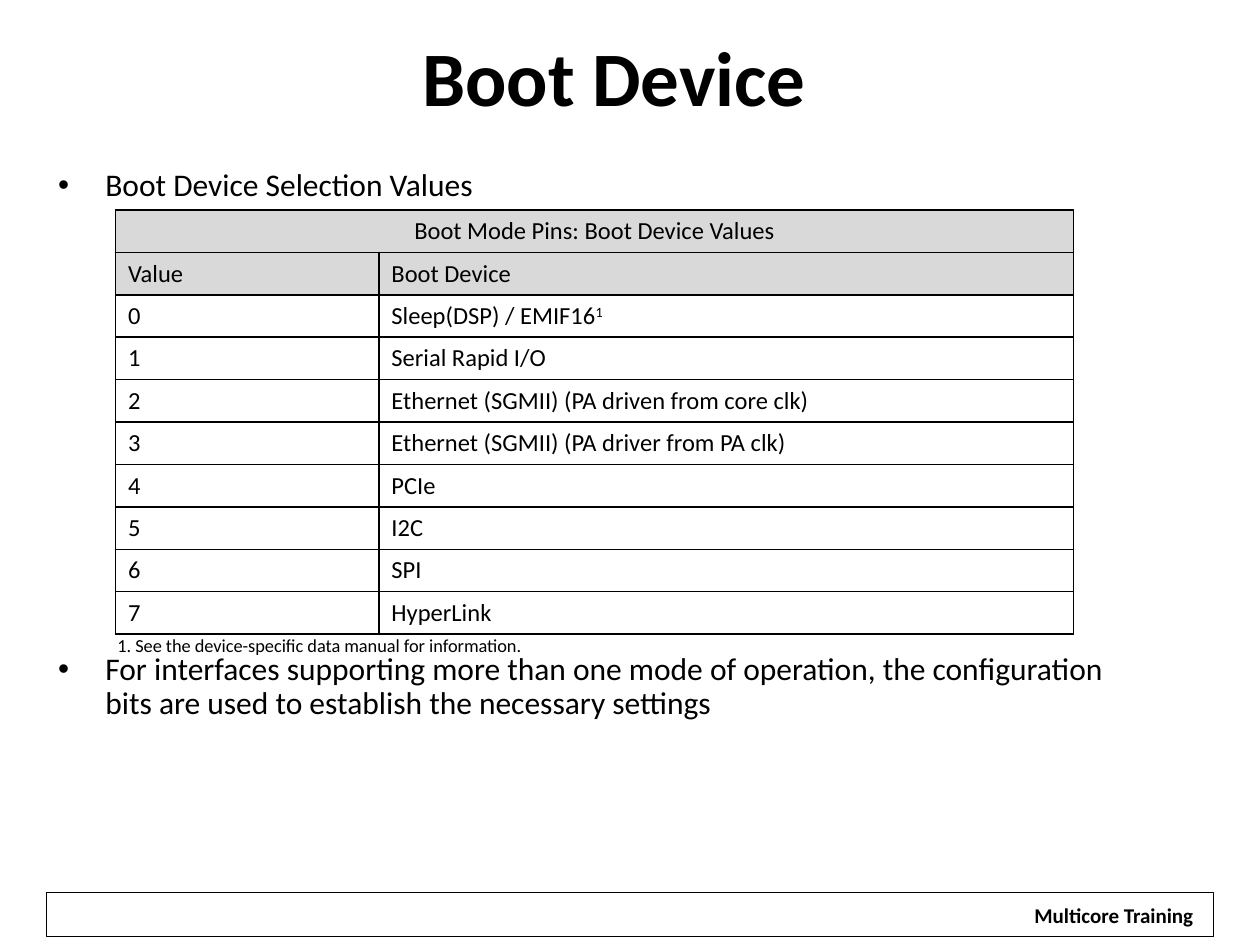
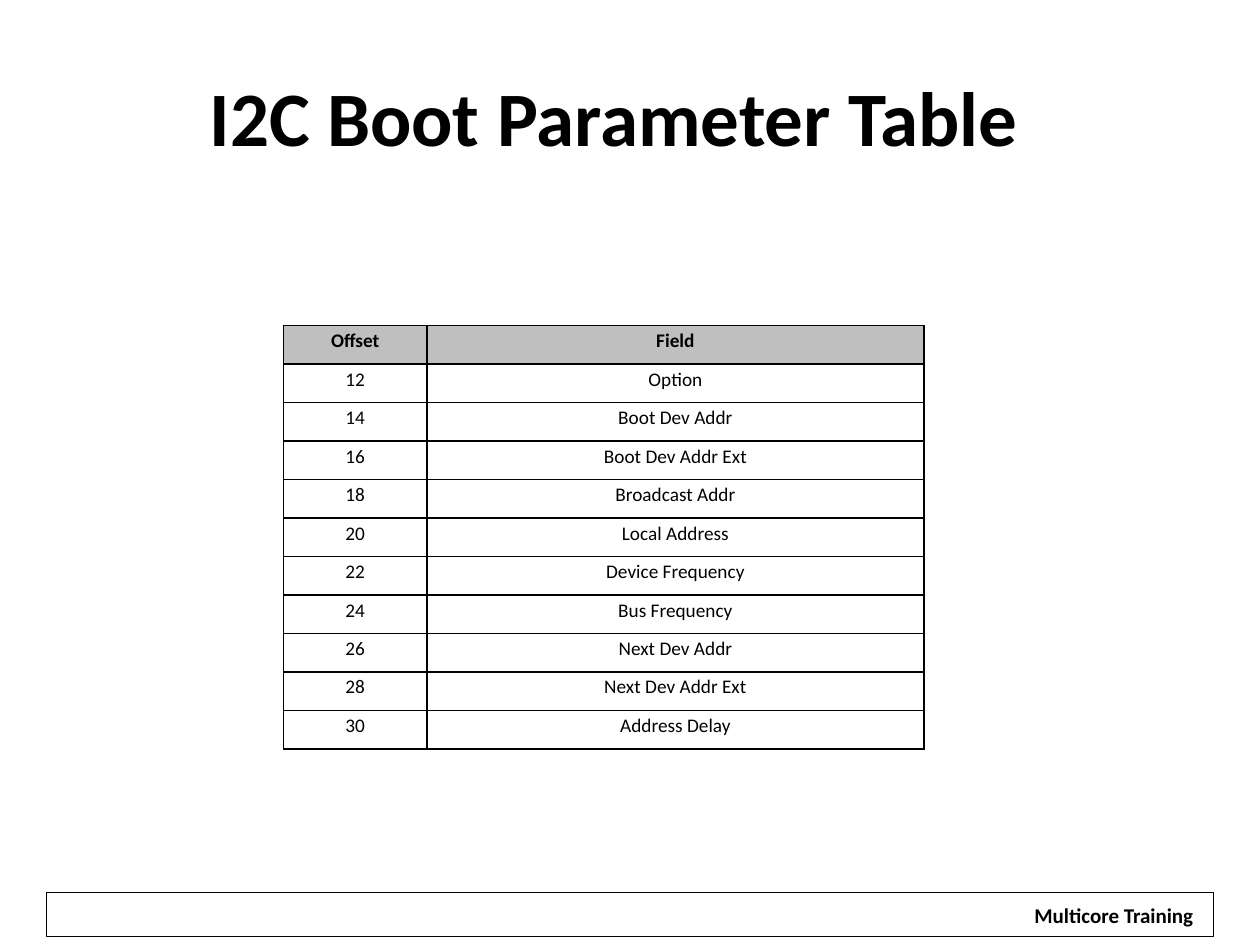
from dataclasses import dataclass

import pptx
import pptx.dml.color
import pptx.enum.shapes
import pptx.enum.text
import pptx.oxml
import pptx.oxml.ns
import pptx.util

Pt = pptx.util.Pt
Align = pptx.enum.text.PP_ALIGN
Anchor = pptx.enum.text.MSO_ANCHOR


@dataclass(frozen=True)
class Theme:
    font: str = "Calibri"
    ink: str = "000000"
    paper: str = "FFFFFF"
    light_header: str = "D9D9D9"
    dark_header: str = "BFBFBF"
    title_size: float = 44
    body_size: float = 18
    device_size: float = 14
    footer_size: float = 12
    parameter_size: float = 11
    note_size: float = 10.5


THEME = Theme()

BOOT_DEVICES = [
    ("Boot Mode Pins: Boot Device Values", ""),
    ("Value", "Boot Device"),
    ("0", "Sleep(DSP) / EMIF16"),
    ("1", "Serial Rapid I/O"),
    ("2", "Ethernet (SGMII) (PA driven from core clk)"),
    ("3", "Ethernet (SGMII) (PA driver from PA clk)"),
    ("4", "PCIe"),
    ("5", "I2C"),
    ("6", "SPI"),
    ("7", "HyperLink"),
]

PARAMETER_FIELDS = [
    "Option", "Boot Dev Addr", "Boot Dev Addr Ext", "Broadcast Addr",
    "Local Address", "Device Frequency", "Bus Frequency", "Next Dev Addr",
    "Next Dev Addr Ext", "Address Delay",
]


def color(value):
    return pptx.dml.color.RGBColor.from_string(value)


def format_paragraph(paragraph, size, bold=False, align=Align.LEFT, spacing=1.0):
    paragraph.alignment = align
    paragraph.line_spacing = spacing
    for run in paragraph.runs:
        run.font.name = THEME.font
        run.font.size = Pt(size)
        run.font.bold = bold
        run.font.color.rgb = color(THEME.ink)


def place(shape, left, top, width, height):
    shape.left, shape.top = Pt(left), Pt(top)
    shape.width, shape.height = Pt(width), Pt(height)


def add_title(slide, text, height):
    title = slide.shapes.title
    place(title, 18, 11.5, 666, height)
    title.text_frame.text = text
    title.text_frame.vertical_anchor = Anchor.MIDDLE
    format_paragraph(title.text_frame.paragraphs[0], THEME.title_size, True, Align.CENTER)


def add_bullets(slide, items, gap):
    body = slide.placeholders[1]
    place(body, 26, 93.2, 629, 330)
    frame = body.text_frame
    frame.text = "\n".join(items)
    frame.auto_size = pptx.enum.text.MSO_AUTO_SIZE.NONE
    for index, paragraph in enumerate(frame.paragraphs):
        properties = paragraph._p.get_or_add_pPr()
        properties.set("marL", str(Pt(27)))
        properties.set("indent", str(Pt(-27)))
        format_paragraph(paragraph, THEME.body_size, spacing=0.9)
        paragraph.space_before = Pt(gap if index else 0)


def add_note(slide, text):
    note = slide.shapes.add_textbox(Pt(60), Pt(360), Pt(462), Pt(19))
    note.text_frame.word_wrap = True
    note.text_frame.text = text
    format_paragraph(note.text_frame.paragraphs[0], THEME.note_size, spacing=0.9)


def add_footer(slide):
    rectangle = pptx.enum.shapes.MSO_SHAPE.RECTANGLE
    frame = slide.shapes.add_shape(rectangle, Pt(26.6), Pt(510), Pt(666.7), Pt(25))
    frame.shadow.inherit = False
    frame.fill.background()
    frame.line.color.rgb = color(THEME.ink)
    frame.line.width = Pt(0.75)
    label = slide.shapes.add_textbox(Pt(583.2), Pt(512), Pt(106.6), Pt(21.6))
    label.fill.solid()
    label.fill.fore_color.rgb = color(THEME.paper)
    label.text_frame.word_wrap = False
    label.text_frame.text = "Multicore Training"
    format_paragraph(label.text_frame.paragraphs[0], THEME.footer_size, True, Align.CENTER)


def add_borders(cell):
    properties = cell._tc.get_or_add_tcPr()
    for side in ("lnL", "lnR", "lnT", "lnB"):
        properties.append(pptx.oxml.parse_xml(
            f'<a:{side} {pptx.oxml.ns.nsdecls("a")} w="{Pt(1)}">'
            f'<a:solidFill><a:srgbClr val="{THEME.ink}"/></a:solidFill></a:{side}>'))


def add_grid(slide, rows, left, top, widths, row_height, margins, header_rows, header_fill):
    shape = slide.shapes.add_table(
        len(rows), len(widths), Pt(left), Pt(top), Pt(sum(widths)), Pt(row_height * len(rows)))
    table = shape.table
    table.first_row = table.horz_banding = False
    for column, width in zip(table.columns, widths):
        column.width = Pt(width)
    for row_index, values in enumerate(rows):
        table.rows[row_index].height = Pt(row_height)
        for cell, value in zip(table.rows[row_index].cells, values):
            cell.text_frame.text = value
            cell.margin_left = cell.margin_right = Pt(margins[0])
            cell.margin_top = cell.margin_bottom = Pt(margins[1])
            add_borders(cell)
            if row_index < header_rows:
                cell.fill.solid()
                cell.fill.fore_color.rgb = color(header_fill)
            else:
                cell.fill.background()
    return table


def add_superscript(paragraph, text):
    run = paragraph.add_run()
    run.text = text
    run._r.get_or_add_rPr().set("baseline", "30000")


def build_boot_device(presentation):
    slide = presentation.slides.add_slide(presentation.slide_layouts[1])
    add_footer(slide)
    add_title(slide, "Boot Device", 64)
    add_bullets(slide, [
        "Boot Device Selection Values",
        "For interfaces supporting more than one mode of operation, the configuration "
        "bits are used to establish the necessary settings",
    ], gap=257)
    table = add_grid(slide, BOOT_DEVICES, 66, 120, (150.5, 397), 24.25, (7.2, 3.6),
                     2, THEME.light_header)
    table.cell(0, 0).merge(table.cell(0, 1))
    add_superscript(table.cell(2, 1).text_frame.paragraphs[0], "1")
    for cell in table.iter_cells():
        align = Align.CENTER if cell.is_merge_origin else Align.LEFT
        format_paragraph(cell.text_frame.paragraphs[0], THEME.device_size, align=align)
    add_note(slide, "1. See the device-specific data manual for information.")


def build_parameter_table(presentation):
    slide = presentation.slides.add_slide(presentation.slide_layouts[5])
    add_footer(slide)
    add_title(slide, "I2C Boot Parameter Table", 109)
    rows = [("Offset", "Field")]
    rows += [(str(12 + 2 * index), field) for index, field in enumerate(PARAMETER_FIELDS)]
    table = add_grid(slide, rows, 162, 186, (82, 284), 22, (5, 0), 1, THEME.dark_header)
    for index, cell in enumerate(table.iter_cells()):
        format_paragraph(cell.text_frame.paragraphs[0], THEME.parameter_size,
                         index < len(table.columns), Align.CENTER, 1.15)


def main():
    presentation = pptx.Presentation()
    presentation.slide_width, presentation.slide_height = Pt(720), Pt(540)
    build_boot_device(presentation)
    build_parameter_table(presentation)
    presentation.save("out.pptx")


if __name__ == "__main__":
    main()
